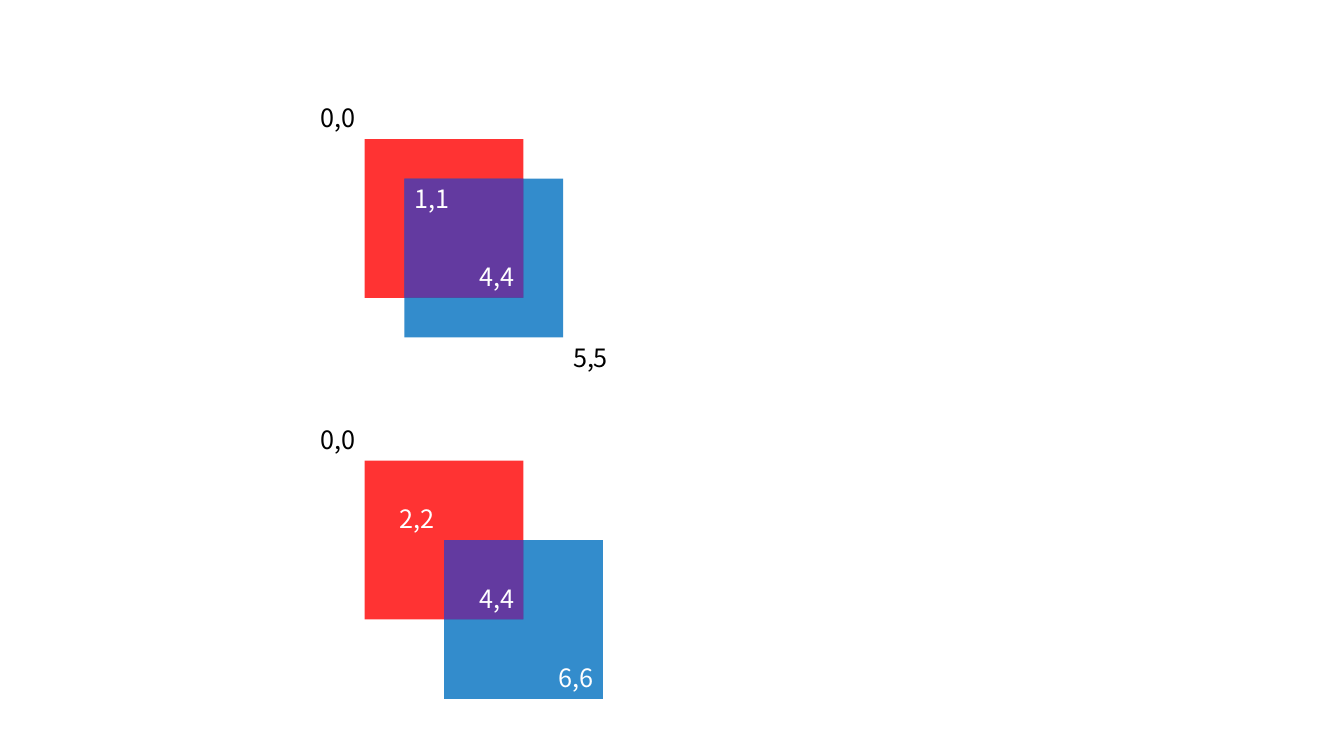
import pptx
import pptx.dml.color
import pptx.enum.shapes
import pptx.enum.text
import pptx.oxml
import pptx.oxml.ns
import pptx.util

Pt = pptx.util.Pt
RED = pptx.dml.color.RGBColor(0xFF, 0x00, 0x00)
BLUE = pptx.dml.color.RGBColor(0x00, 0x70, 0xC0)
PURPLE = pptx.dml.color.RGBColor(0x70, 0x30, 0xA0)
BLACK = pptx.dml.color.RGBColor(0x00, 0x00, 0x00)
WHITE = pptx.dml.color.RGBColor(0xFF, 0xFF, 0xFF)
FONT = "Noto Sans CJK SC"

UNIT = 28.35  # one step of the coordinate grid
SIDE = 4  # side of each square, in grid steps
ORIGIN_LEFT = 260.5
LABEL_WIDTH, LABEL_HEIGHT = 77.8, 29.1
LABEL_SHIFT = 38.6, 29.6  # from a label's left top to the corner it precedes

deck = pptx.Presentation()
deck.slide_width, deck.slide_height = Pt(960), Pt(540)
page = deck.slides.add_slide(deck.slide_layouts[6])


def add_square(left, top, side, color):
    square = page.shapes.add_shape(
        pptx.enum.shapes.MSO_SHAPE.RECTANGLE, Pt(left), Pt(top), Pt(side), Pt(side)
    )
    square.shadow.inherit = False
    square.line.fill.background()
    square.fill.solid()
    square.fill.fore_color.rgb = color
    tint = square._element.spPr.find(".//" + pptx.oxml.ns.qn("a:srgbClr"))
    alpha = pptx.oxml.parse_xml(
        f'<a:alpha {pptx.oxml.ns.nsdecls("a")} val="80000"/>'
    )
    tint.append(alpha)


def add_label(text, left, top, color, size=18):
    box = page.shapes.add_textbox(
        Pt(left), Pt(top), Pt(LABEL_WIDTH), Pt(LABEL_HEIGHT)
    )
    frame = box.text_frame
    frame.word_wrap = True
    frame.auto_size = pptx.enum.text.MSO_AUTO_SIZE.SHAPE_TO_FIT_TEXT
    span = frame.paragraphs[0].add_run()
    span.text = text
    span.font.name = FONT
    span.font.size = Pt(size)
    span.font.color.rgb = color


# Each group: top, offset of the blue square, and labels as
# (grid corner, color, whether the label sits before that corner)
groups = [
    (99.3, 1, [(0, BLACK, True), (1, WHITE, False),
               (5, BLACK, False), (4, WHITE, True)]),
    (329.1, 2, [(0, BLACK, True), (2, WHITE, True),
                (6, WHITE, True), (4, WHITE, True)]),
]

for origin_top, offset, labels in groups:
    for start, steps, color in [
        (0, SIDE, RED), (offset, SIDE, BLUE), (offset, SIDE - offset, PURPLE)
    ]:
        add_square(ORIGIN_LEFT + start * UNIT, origin_top + start * UNIT,
                   steps * UNIT, color)
    for corner, color, before in labels:
        shift_left, shift_top = LABEL_SHIFT if before else (0, 0)
        add_label(f"{corner},{corner}",
                  ORIGIN_LEFT + corner * UNIT - shift_left,
                  origin_top + corner * UNIT - shift_top, color)

deck.save("out.pptx")
